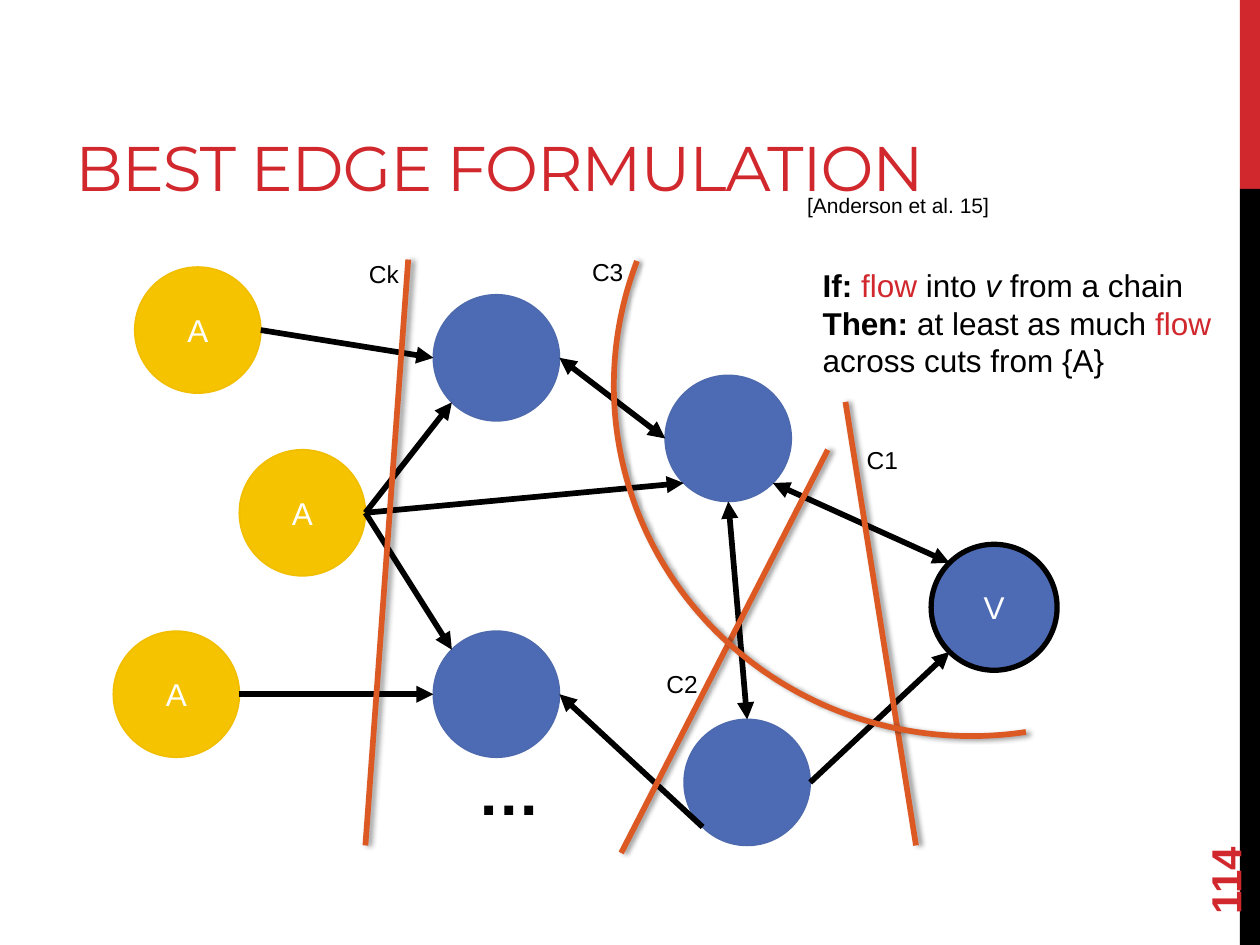
import math
import lxml.etree
import pptx
import pptx.dml.color
import pptx.enum.shapes
import pptx.enum.text
import pptx.oxml.ns
import pptx.util

THEME = {
    "red": "D1282E", "black": "000000", "white": "FFFFFF",
    "gold": "F6C300", "gold edge": "F1BE00",
    "blue": "4D6BB5", "blue edge": "4E6AAE", "cut": "DC5924",
    "font": "Arial", "title font": "Montserrat",
    "title": 36, "page number": 24, "body": 18, "label": 14, "citation": 12,
    "stroke": 3.25,
}
COLUMNS, ROWS = 10, 7.5
CELL = pptx.util.Inches(1)
SHAPE = pptx.enum.shapes.MSO_SHAPE
ALIGN = pptx.enum.text.PP_ALIGN
ANCHOR = pptx.enum.text.MSO_ANCHOR
rgb = pptx.dml.color.RGBColor.from_string
qn = pptx.oxml.ns.qn


def write(shape, text, size="body", color="black", font="font", bold=False,
          align=ALIGN.LEFT, anchor=ANCHOR.TOP, spacing=None):
    """Fill a shape with a string, or with paragraphs of (text, changes) runs."""
    frame = shape.text_frame
    frame.word_wrap = True
    frame.vertical_anchor = anchor
    paragraphs = [[(text, {})]] if isinstance(text, str) else text
    for index, runs in enumerate(paragraphs):
        para = frame.add_paragraph() if index else frame.paragraphs[0]
        para.alignment = align
        for words, changes in runs:
            span = para.add_run()
            span.text = words
            span.font.name = THEME[font]
            span.font.size = pptx.util.Pt(THEME[size])
            span.font.bold = changes.get("bold", bold)
            span.font.italic = changes.get("italic", False)
            span.font.color.rgb = rgb(THEME[changes.get("color", color)])
            if spacing:
                span.font._element.set("spc", str(spacing))


def draw_line(start, end, color, arrows=()):
    """Draw a line between two grid points and return its empty effect list."""
    line = page.shapes.add_connector(
        pptx.enum.shapes.MSO_CONNECTOR.STRAIGHT,
        *(round(cells * CELL) for cells in (*start, *end)))
    line.line.color.rgb = rgb(THEME[color])
    line.line.width = pptx.util.Pt(THEME["stroke"])
    for arrow in arrows:
        lxml.etree.SubElement(line.line._ln, qn(f"a:{arrow}"), type="triangle")
    return lxml.etree.SubElement(line._element.spPr, qn("a:effectLst"))


deck = pptx.Presentation()
deck.slide_width = round(COLUMNS * CELL)
deck.slide_height = round(ROWS * CELL)
page = deck.slides.add_slide(deck.slide_layouts[6])

# Side band
for top, height, color in ((0, 1.5, "red"), (1.5, 6, "black")):
    band = page.shapes.add_shape(
        SHAPE.RECTANGLE, *(round(cells * CELL) for cells in (9.84, top, 0.16, height)))
    band.shadow.inherit = False
    band.fill.solid()
    band.fill.fore_color.rgb = rgb(THEME[color])
    band.line.fill.background()

# Graph nodes, each one cell wide: left, top, text, fill, edge, edge width
NODES = {
    "top source": (1.07, 2.12, "A", "gold", "gold edge", 1),
    "middle source": (1.9, 3.57, "A", "gold", "gold edge", 1),
    "bottom source": (0.9, 5.01, "A", "gold", "gold edge", 1),
    "target": (7.39, 4.32, "V", "blue", "black", 3),
    "lower right": (5.43, 5.71, "", "blue", "blue edge", 1),
    "upper right": (5.28, 2.98, "", "blue", "blue edge", 1),
    "lower left": (3.44, 5.01, "", "blue", "blue edge", 1),
    "upper left": (3.44, 2.34, "", "blue", "blue edge", 1),
}
for left, top, text, fill, edge, width in NODES.values():
    node = page.shapes.add_shape(
        SHAPE.OVAL, round(left * CELL), round(top * CELL), CELL, CELL)
    node.shadow.inherit = False
    node.fill.solid()
    node.fill.fore_color.rgb = rgb(THEME[fill])
    node.line.color.rgb = rgb(THEME[edge])
    node.line.width = pptx.util.Pt(width)
    if text:
        write(node, text, color="white", align=ALIGN.CENTER, anchor=ANCHOR.MIDDLE)

# Edges leave and enter a node at an angle in degrees, clockwise from its right
ONE_WAY, TWO_WAY = ("tailEnd",), ("headEnd", "tailEnd")
EDGES = (
    ("lower right", 0, "target", 135, ONE_WAY),
    ("middle source", 0, "upper left", 135, ONE_WAY),
    ("middle source", 0, "upper right", 135, ONE_WAY),
    ("middle source", 0, "lower left", 225, ONE_WAY),
    ("bottom source", 0, "lower left", 180, ONE_WAY),
    ("top source", 0, "upper left", 180, ONE_WAY),
    ("upper right", 45, "target", 225, TWO_WAY),
    ("upper left", 0, "upper right", 180, TWO_WAY),
    ("upper right", 90, "lower right", 270, TWO_WAY),
    ("lower right", 135, "lower left", 0, ONE_WAY),
)
for source, leave, sink, enter, arrows in EDGES:
    ends = [(NODES[name][0] + 0.5 + 0.5 * math.cos(math.radians(angle)),
             NODES[name][1] + 0.5 + 0.5 * math.sin(math.radians(angle)))
            for name, angle in ((source, leave), (sink, enter))]
    draw_line(*ends, "black", arrows)

# Cuts
CUTS = (
    ((6.71, 3.19), (7.27, 6.71)),
    ((6.57, 3.57), (4.93, 6.77)),
    ((3.24, 2.06), (2.9, 6.71)),
)
effects = [draw_line(start, end, "cut") for start, end in CUTS]
arc = page.shapes.add_shape(
    SHAPE.ARC, *(round(cells * CELL) for cells in (4.87, 0.24, 5.72, 5.6)))
arc.rotation = 169.9
arc.adjustments[0], arc.adjustments[1] = 162.98, 18
arc.fill.background()
arc.line.color.rgb = rgb(THEME["cut"])
arc.line.width = pptx.util.Pt(THEME["stroke"])
arc.shadow.inherit = False
effects.append(arc._element.spPr.find(qn("a:effectLst")))
for effect in effects:
    shadow = lxml.etree.SubElement(
        effect, qn("a:outerShdw"), blurRad=str(pptx.util.Pt(3.1)),
        dist=str(pptx.util.Pt(1.8)), dir="0", rotWithShape="0")
    tint = lxml.etree.SubElement(shadow, qn("a:srgbClr"), val=THEME["black"])
    lxml.etree.SubElement(tint, qn("a:alpha"), val="40000")

# Text: left, top, width, height, words, format
RED, BOLD = {"color": "red"}, {"bold": True}
RULE = [
    [("If: ", BOLD), ("flow", RED), (" into ", {}), ("v", {"italic": True}),
     (" from a chain", {})],
    [("Then:", BOLD), (" at least as much ", {}), ("flow", RED),
     (" across cuts from {A}", {})],
]
LABEL = {"size": "label"}
TEXTS = (
    (0.5, 0.17, 8.06, 1.5, "BEST EDGE FORMULATION",
     {"size": "title", "color": "red", "font": "title font",
      "anchor": ANCHOR.BOTTOM, "spacing": -60}),
    (4.79, 1.48, 3.16, 0.3, "[Anderson et al. 15]",
     {"size": "citation", "align": ALIGN.RIGHT}),
    (6.43, 2.06, 3.41, 1.01, RULE, {}),
    (6.78, 3.48, 0.69, 0.34, "C1", LABEL),
    (5.19, 5.26, 0.69, 0.34, "C2", LABEL),
    (4.6, 1.99, 0.69, 0.34, "C3", LABEL),
    (2.83, 2.01, 0.69, 0.34, "Ck", LABEL),
    (3.69, 5.92, 1.67, 0.71, "…", {"size": "title", "bold": True}),
    (9, 6.44, 1.44, 0.4, "114",
     {"size": "page number", "color": "red", "bold": True, "anchor": ANCHOR.MIDDLE}),
)
for *place, text, style in TEXTS:
    box = page.shapes.add_textbox(*(round(cells * CELL) for cells in place))
    write(box, text, **style)
box.rotation = 270  # the page number, last in the list, reads upwards

deck.save("out.pptx")
